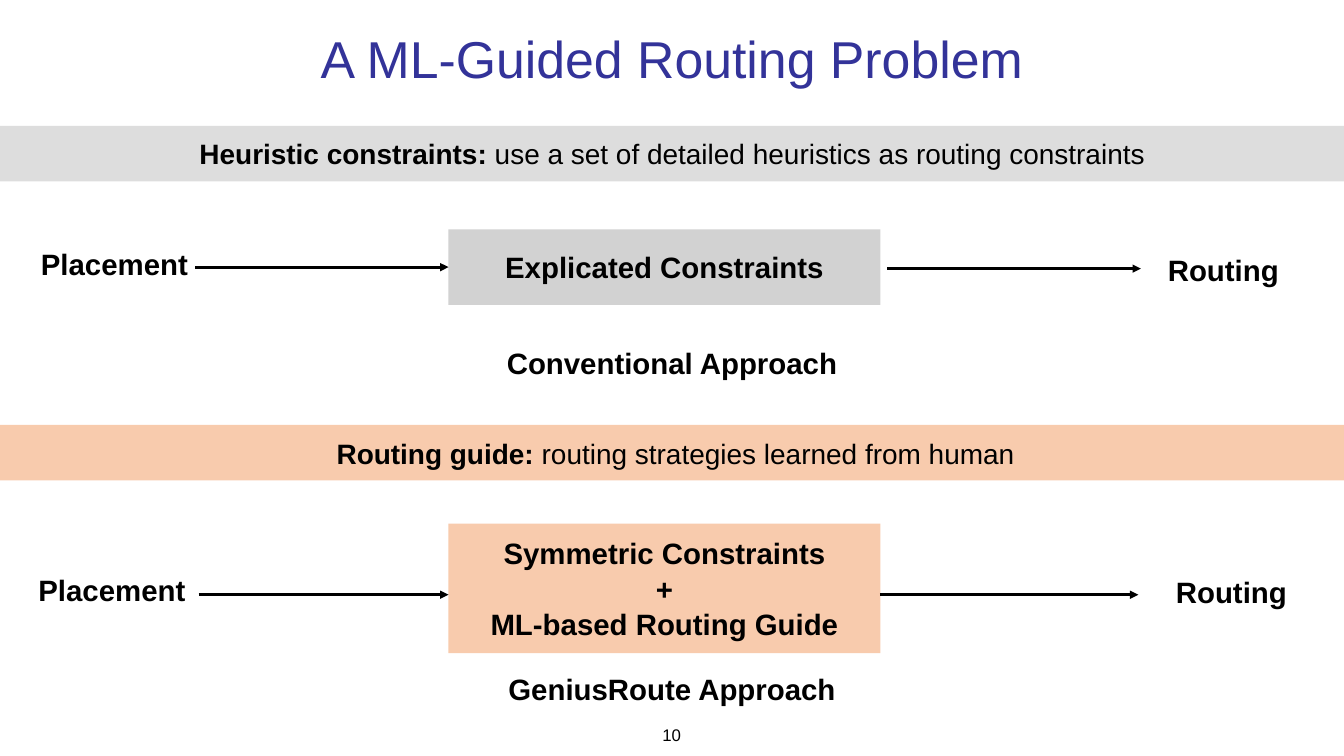
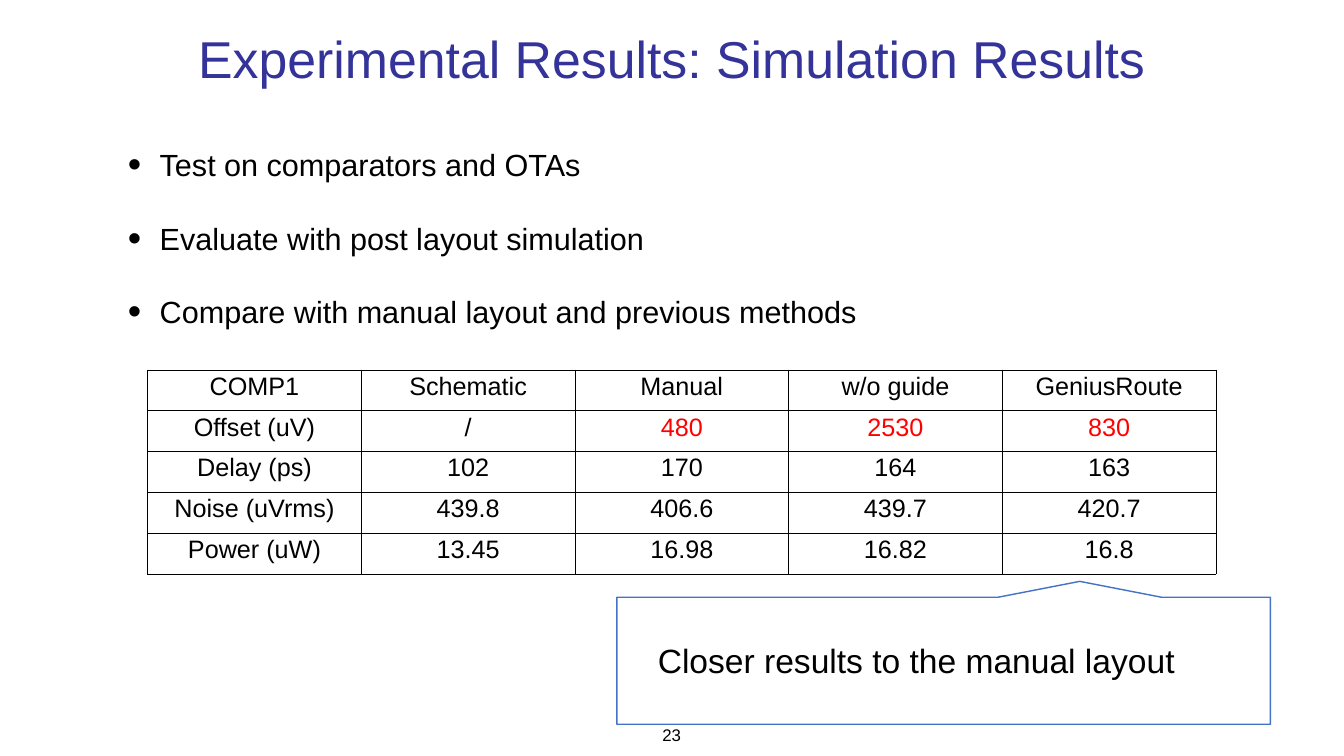
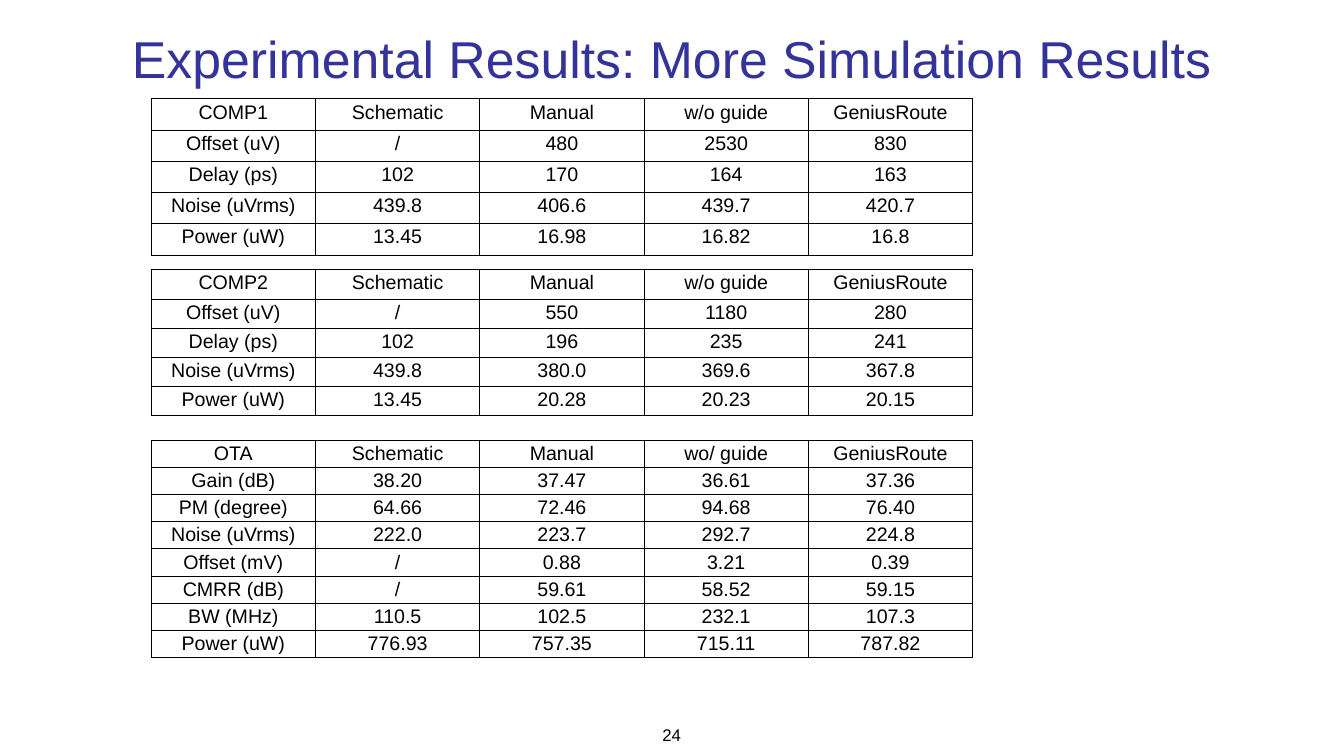
"""Build three slides on machine-learning-guided analog routing."""
from lxml.etree import SubElement
from pptx import Presentation
from pptx.dml.color import RGBColor
from pptx.enum.shapes import MSO_CONNECTOR, MSO_SHAPE
from pptx.enum.text import MSO_ANCHOR, MSO_AUTO_SIZE, PP_ALIGN
from pptx.oxml.ns import qn
from pptx.util import Inches, Pt

FONT = "Arial"
BLACK = RGBColor(0x00, 0x00, 0x00)
WHITE = RGBColor(0xFF, 0xFF, 0xFF)
RED = RGBColor(0xFF, 0x00, 0x00)
TITLE_BLUE = RGBColor(0x33, 0x33, 0x99)
CALLOUT_BLUE = RGBColor(0x44, 0x72, 0xC4)
BAND_GREY = RGBColor(0xDD, 0xDD, 0xDD)
BOX_GREY = RGBColor(0xD2, 0xD2, 0xD2)
PEACH = RGBColor(0xF8, 0xCB, 0xAD)

HEADER = ["Schematic", "Manual", "w/o guide", "GeniusRoute"]
COMP1 = [
    ["COMP1", *HEADER],
    ["Offset (uV)", "/", "480", "2530", "830"],
    ["Delay (ps)", "102", "170", "164", "163"],
    ["Noise (uVrms)", "439.8", "406.6", "439.7", "420.7"],
    ["Power (uW)", "13.45", "16.98", "16.82", "16.8"],
]
COMP2 = [
    ["COMP2", *HEADER],
    ["Offset (uV)", "/", "550", "1180", "280"],
    ["Delay (ps)", "102", "196", "235", "241"],
    ["Noise (uVrms)", "439.8", "380.0", "369.6", "367.8"],
    ["Power (uW)", "13.45", "20.28", "20.23", "20.15"],
]
OTA = [
    ["OTA", "Schematic", "Manual", "wo/ guide", "GeniusRoute"],
    ["Gain (dB)", "38.20", "37.47", "36.61", "37.36"],
    ["PM (degree)", "64.66", "72.46", "94.68", "76.40"],
    ["Noise (uVrms)", "222.0", "223.7", "292.7", "224.8"],
    ["Offset (mV)", "/", "0.88", "3.21", "0.39"],
    ["CMRR (dB)", "/", "59.61", "58.52", "59.15"],
    ["BW (MHz)", "110.5", "102.5", "232.1", "107.3"],
    ["Power (uW)", "776.93", "757.35", "715.11", "787.82"],
]


def write(frame, text, size, color=BLACK, bold=False, lead="",
          align=PP_ALIGN.CENTER, line_spacing=None, gap=0, bullet=False):
    """Fill a text frame, one paragraph per line, after an optional bold lead."""
    for index, line in enumerate(text.split("\n")):
        paragraph = frame.add_paragraph() if index else frame.paragraphs[0]
        paragraph.alignment = align
        paragraph.space_before = Pt(gap if index else 0)
        if line_spacing:
            paragraph.line_spacing = line_spacing
        if bullet:
            properties = paragraph._p.get_or_add_pPr()
            properties.set("marL", str(Inches(1.26)))
            properties.set("indent", str(-Inches(0.63)))
            SubElement(properties, qn("a:buSzPct"), val="125000")
            SubElement(properties, qn("a:buFont"), typeface=FONT)
            SubElement(properties, qn("a:buChar"), char="•")
        for words, heavy in ((lead, True), (line, bold)):
            if words:
                run = paragraph.add_run()
                run.text = words
                font = run.font
                font.name, font.size, font.bold = FONT, Pt(size), heavy
                font.color.rgb = color


class Deck:
    """Hold the shared style and the current slide."""

    def __init__(self):
        self.presentation = Presentation()
        self.presentation.slide_width = Inches(26.67)
        self.presentation.slide_height = Inches(15)
        self.slide = None

    def add_slide(self, title, number):
        """Start a slide with its title and page number."""
        self.slide = self.presentation.slides.add_slide(
            self.presentation.slide_layouts[5])
        shape = self.slide.shapes.title
        shape.left, shape.top = Inches(1.85), Inches(0.36)
        shape.width, shape.height = Inches(22.97), Inches(1.56)
        self.format_frame(shape.text_frame, 0.06, MSO_ANCHOR.MIDDLE)
        write(shape.text_frame, title, 74, TITLE_BLUE)
        self.text(13.03, 14.31, 0.6, 0.5, str(number), 24, wrap=False)

    def format_frame(self, frame, inset, anchor, wrap=True):
        """Set the insets, anchor and wrapping of a text frame."""
        frame.word_wrap = wrap
        frame.auto_size = MSO_AUTO_SIZE.NONE if wrap else MSO_AUTO_SIZE.SHAPE_TO_FIT_TEXT
        frame.vertical_anchor = anchor
        frame.margin_left = frame.margin_right = Inches(inset)
        frame.margin_top = frame.margin_bottom = Inches(inset)

    def text(self, left, top, width, height, text, size, inset=0.06,
             anchor=MSO_ANCHOR.TOP, wrap=True, **style):
        """Add a text box."""
        box = self.slide.shapes.add_textbox(
            Inches(left), Inches(top), Inches(width), Inches(height))
        self.format_frame(box.text_frame, inset, anchor, wrap)
        write(box.text_frame, text, size, **style)

    def label(self, left, top, width, text):
        """Add a bold one-line label."""
        self.text(left, top, width, 0.91, text, 42, inset=0.13, wrap=False,
                  bold=True, line_spacing=0.9)

    def shape(self, kind, left, top, width, height, fill, line=None):
        """Add a filled preset shape."""
        shape = self.slide.shapes.add_shape(
            kind, Inches(left), Inches(top), Inches(width), Inches(height))
        shape.shadow.inherit = False
        shape.fill.solid()
        shape.fill.fore_color.rgb = fill
        if line:
            shape.line.color.rgb = line
            shape.line.width = Pt(2)
        else:
            shape.line.fill.background()
        return shape

    def band(self, top, width, fill):
        """Add a band across the slide."""
        self.shape(MSO_SHAPE.RECTANGLE, -0.02, top, width, 1.1, fill)

    def stage(self, top, height, fill, text):
        """Add the constraint box in the middle of a flow."""
        box = self.shape(MSO_SHAPE.ROUNDED_RECTANGLE, 8.9, top, 8.57, height, fill)
        box.adjustments[0] = 0
        self.format_frame(box.text_frame, 0.13, MSO_ANCHOR.MIDDLE)
        write(box.text_frame, text, 42, bold=True)
        return box

    def arrow(self, start, end, y, target=None):
        """Add a horizontal arrow, joined to the left side of any target."""
        connector = self.slide.shapes.add_connector(
            MSO_CONNECTOR.STRAIGHT, Inches(start), Inches(y), Inches(end), Inches(y))
        if target:
            connector.end_connect(target, 1)
        connector.line.color.rgb = BLACK
        connector.line.width = Pt(4)
        SubElement(connector.line._get_or_add_ln(), qn("a:tailEnd"), type="triangle")
        SubElement(connector._element.spPr, qn("a:effectLst"))

    def table(self, left, top, column_width, row_height, rows, size, red_cells=()):
        """Add a plain ruled table."""
        table = self.slide.shapes.add_table(
            len(rows), len(rows[0]), Inches(left), Inches(top),
            Inches(column_width * len(rows[0])), Inches(row_height * len(rows))).table
        table.first_row = table.horz_banding = False
        for column in table.columns:
            column.width = Inches(column_width)
        for row_index, values in enumerate(rows):
            table.rows[row_index].height = Inches(row_height)
            for column_index, value in enumerate(values):
                cell = table.cell(row_index, column_index)
                cell.margin_top, cell.margin_bottom = Inches(0.05), Inches(0.02)
                color = RED if (row_index, column_index) in red_cells else BLACK
                write(cell.text_frame, value, size, color)
                self.rule_cell(cell)
                cell.fill.background()

    def rule_cell(self, cell):
        """Draw a thin black border on each side of a cell."""
        properties = cell._tc.get_or_add_tcPr()
        for side in ("a:lnL", "a:lnR", "a:lnT", "a:lnB"):
            line = SubElement(properties, qn(side), w=str(Pt(1)))
            fill = SubElement(line, qn("a:solidFill"))
            SubElement(fill, qn("a:srgbClr"), val=str(BLACK))


def build_problem(deck):
    """Compare the conventional and the guided routing flows."""
    deck.add_slide("A ML-Guided Routing Problem", 10)
    deck.band(8.43, 26.78, PEACH)
    deck.band(2.5, 26.7, BAND_GREY)
    deck.text(3.78, 2.58, 19.11, 0.94,
              "use a set of detailed heuristics as routing constraints", 40,
              inset=0.13, anchor=MSO_ANCHOR.MIDDLE, wrap=False,
              lead="Heuristic constraints: ")
    deck.text(6.55, 8.54, 13.86, 0.94, "routing strategies learned from human", 40,
              inset=0.13, wrap=False, lead="Routing guide: ", align=PP_ALIGN.LEFT)

    explicated = deck.stage(4.55, 1.5, BOX_GREY, "Explicated Constraints")
    deck.arrow(3.87, 8.9, 5.3, explicated)
    deck.arrow(17.61, 22.64, 5.33)
    deck.label(0.66, 4.84, 3.22, "Placement")
    deck.label(23.03, 4.96, 2.49, "Routing")
    deck.label(9.88, 6.79, 6.91, "Conventional Approach")

    deck.stage(10.39, 2.57, PEACH, "Symmetric Constraints\n+\nML-based Routing Guide")
    deck.arrow(3.94, 8.9, 11.8)
    deck.arrow(17.46, 22.59, 11.8)
    deck.label(0.61, 11.31, 3.22, "Placement")
    deck.label(23.19, 11.35, 2.49, "Routing")
    deck.label(9.91, 13.26, 6.85, "GeniusRoute Approach")


def build_results(deck):
    """Show the first comparator with its offset highlighted."""
    deck.add_slide("Experimental Results: Simulation Results", 23)
    callout = deck.shape(MSO_SHAPE.RECTANGULAR_CALLOUT, 12.24, 11.85, 12.97, 2.52,
                         WHITE, CALLOUT_BLUE)
    callout.rotation = 180
    deck.text(1.85, 2.5, 22.97, 4.44,
              "Test on comparators and OTAs\n"
              "Evaluate with post layout simulation\n"
              "Compare with manual layout and previous methods",
              43.7, anchor=MSO_ANCHOR.MIDDLE, align=PP_ALIGN.LEFT, gap=53, bullet=True)
    deck.text(12.35, 12.29, 11.67, 1.63, "Closer results to the manual layout", 48,
              anchor=MSO_ANCHOR.MIDDLE)
    deck.table(2.93, 7.34, 4.24, 0.81, COMP1, 36, red_cells=[(1, 2), (1, 3), (1, 4)])


def build_more_results(deck):
    """Show the tables of all three circuits."""
    deck.add_slide("Experimental Results: More Simulation Results", 24)
    for top, row_height, rows in ((1.96, 0.62, COMP1), (5.35, 0.58, COMP2),
                                  (8.74, 0.53, OTA)):
        deck.table(3, top, 3.26, row_height, rows, 28)


def main():
    """Build and save the presentation."""
    deck = Deck()
    build_problem(deck)
    build_results(deck)
    build_more_results(deck)
    deck.presentation.save("out.pptx")


if __name__ == "__main__":
    main()
